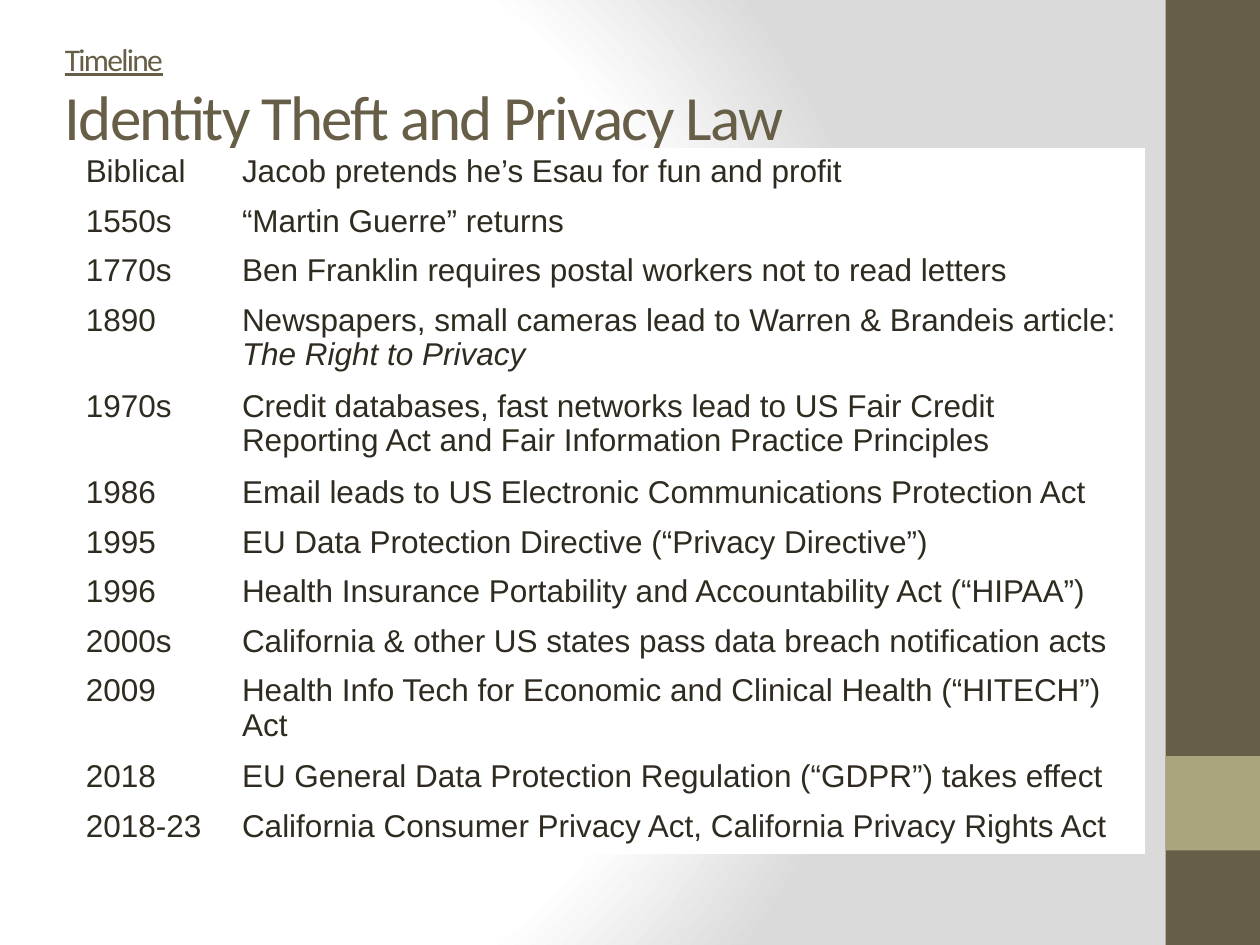
from lxml import etree
from pptx import Presentation
from pptx.dml.color import RGBColor
from pptx.enum import shapes, text
from pptx.util import Pt

WHITE = RGBColor(0xFF, 0xFF, 0xFF)
GREY = RGBColor(0xDA, 0xDA, 0xDA)
BROWN = RGBColor(0x67, 0x5E, 0x47)
OLIVE = RGBColor(0xA9, 0xA5, 0x7C)
INK = RGBColor(0x2F, 0x2B, 0x20)
DRAWING = "http://schemas.openxmlformats.org/drawingml/2006/main"

EVENTS = [
    ("Biblical", "Jacob pretends he’s Esau for fun and profit"),
    ("1550s", "“Martin Guerre” returns"),
    ("1770s", "Ben Franklin requires postal workers not to read letters"),
    ("1890", "Newspapers, small cameras lead to Warren & Brandeis article:", "The Right to Privacy"),
    ("1970s", "Credit databases, fast networks lead to US Fair Credit "
              "Reporting Act and Fair Information Practice Principles"),
    ("1986", "Email leads to US Electronic Communications Protection Act"),
    ("1995", "EU Data Protection Directive (“Privacy Directive”)"),
    ("1996", "Health Insurance Portability and Accountability Act (“HIPAA”)"),
    ("2000s", "California & other US states pass data breach notification acts"),
    ("2009", "Health Info Tech for Economic and Clinical Health (“HITECH”) Act"),
    ("2018", "EU General Data Protection Regulation (“GDPR”) takes effect"),
    ("2018-23", "California Consumer Privacy Act, California Privacy Rights Act"),
]
TWO_LINE_YEARS = {"1890", "1970s", "2009"}


def add_span(para, words, *, font, size, color, italic=False, underline=False, spacing=None):
    span = para.add_run()
    span.text = words
    span.font.name = font
    span.font.size = Pt(size)
    span.font.color.rgb = color
    span.font.italic = italic
    span.font.underline = underline
    if spacing is not None:
        span.font._element.set("spc", str(spacing * 100))


def paint_background(page):
    page.background.fill.solid()
    solid = next(page._element.iter(f"{{{DRAWING}}}solidFill"))
    stops = "".join(
        f'<a:gs pos="{percent * 1000}"><a:srgbClr val="{color}"/></a:gs>'
        for percent, color in [(0, WHITE), (75, WHITE), (100, GREY)]
    )
    gradient = etree.fromstring(
        f'<a:gradFill xmlns:a="{DRAWING}" rotWithShape="1"><a:gsLst>{stops}</a:gsLst>'
        '<a:path path="circle"><a:fillToRect l="20000" t="50000" r="100000" b="50000"/>'
        '</a:path></a:gradFill>'
    )
    solid.getparent().replace(solid, gradient)


def add_sidebar(page, left, top, width, height):
    for color, y, tall in [(BROWN, top, height), (OLIVE, top + height * 0.8, width)]:
        band = page.shapes.add_shape(
            shapes.MSO_SHAPE.RECTANGLE, Pt(left), Pt(y), Pt(width), Pt(tall)
        )
        band.shadow.inherit = False
        band.fill.solid()
        band.fill.fore_color.rgb = color
        band.line.fill.background()


def add_title(page, left, top, width, height):
    box = page.shapes.add_textbox(Pt(left), Pt(top), Pt(width), Pt(height))
    frame = box.text_frame
    frame.word_wrap = True
    frame.vertical_anchor = text.MSO_ANCHOR.MIDDLE
    para = frame.paragraphs[0]
    style = {"font": "Calibri", "color": BROWN, "spacing": -1}
    add_span(para, "Timeline", size=18, underline=True, **style)
    para.add_line_break()
    add_span(para, "Identity Theft and Privacy Law", size=36, **style)


def fill_cell(cell, lines):
    cell.fill.solid()
    cell.fill.fore_color.rgb = WHITE
    frame = cell.text_frame
    for index, words in enumerate(lines):
        para = frame.add_paragraph() if index else frame.paragraphs[0]
        para.line_spacing = 0.97
        add_span(para, words, font="Arial", size=18, color=INK, italic=index > 0)


def add_timeline(page, left, top, width, height):
    year_width = 89.3
    holder = page.shapes.add_table(len(EVENTS), 2, Pt(left), Pt(top), Pt(width), Pt(height))
    table = holder.table
    table.first_row = False
    table.horz_banding = False
    table.columns[0].width = Pt(year_width)
    table.columns[1].width = Pt(width - year_width)
    for row, (year, *lines) in zip(table.rows, EVENTS):
        row.height = Pt(47.4 if year in TWO_LINE_YEARS else 28.4)
        fill_cell(row.cells[0], [year])
        fill_cell(row.cells[1], lines)


def main():
    deck = Presentation()
    deck.slide_width, deck.slide_height = Pt(720), Pt(540)
    page = deck.slides.add_slide(deck.slide_layouts[6])
    paint_background(page)
    add_sidebar(page, 666, 0, 54, 540)
    add_title(page, 30, 10, 600, 90)
    add_timeline(page, 41.8, 85, 612, 397.8)
    deck.save("out.pptx")


if __name__ == "__main__":
    main()
